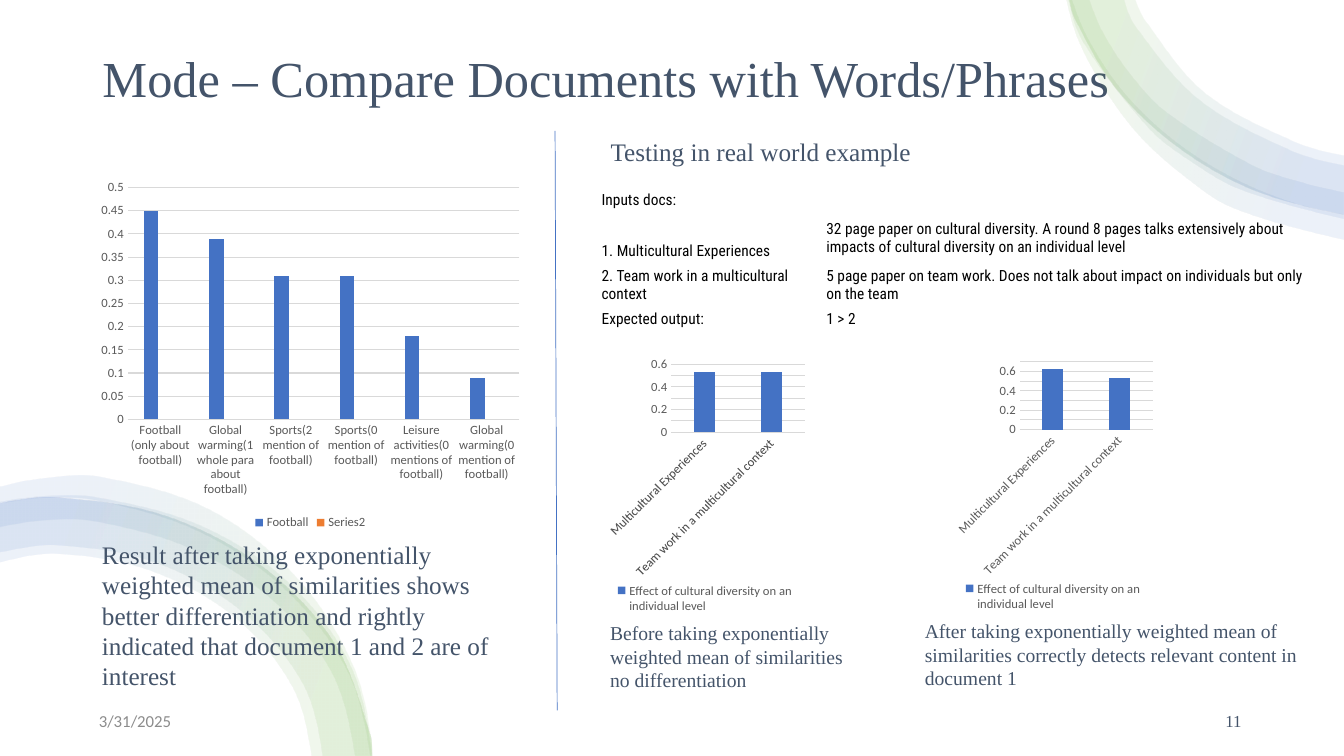
import math

import pptx
import pptx.chart.data
import pptx.dml.color
import pptx.enum.chart
import pptx.enum.shapes
import pptx.enum.text
import pptx.oxml
import pptx.oxml.ns
import pptx.util
from lxml import etree

Pt = pptx.util.Pt
qn = pptx.oxml.ns.qn
RGB = pptx.dml.color.RGBColor
SLATE = RGB(0x44, 0x54, 0x6A)
BLACK = RGB(0, 0, 0)
GRAY = RGB(0x8C, 0x8C, 0x8C)
LABEL = RGB(0x59, 0x59, 0x59)
GRID = RGB(0xD9, 0xD9, 0xD9)
BLUE = RGB(0x44, 0x72, 0xC4)
ORANGE = RGB(0xED, 0x7D, 0x31)
GREEN = RGB(0x70, 0xAD, 0x47)
SERIF = "Times New Roman"
ANCHOR = pptx.enum.text.MSO_ANCHOR
ALIGN = pptx.enum.text.PP_ALIGN


def style(frame, text, size, face=SERIF, color=SLATE):
    frame.text = text
    for run in frame.paragraphs[0].runs:
        run.font.size = Pt(size)
        run.font.name = face
        run.font.color.rgb = color


def curve(knots):
    spots = [knots[0]]
    last = len(knots) - 2
    for i in range(last + 1):
        start, end = knots[i], knots[i + 1]
        reach = math.dist(start, end) / 3
        first = second = None
        if i > 0:
            back = knots[i - 1]
            ratio = reach / math.dist(back, end)
            first = [s + (e - b) * ratio for s, e, b in zip(start, end, back)]
        if i < last:
            ahead = knots[i + 2]
            ratio = reach / math.dist(start, ahead)
            second = [e - (a - s) * ratio for e, a, s in zip(end, ahead, start)]
        first = first or [(s + c) / 2 for s, c in zip(start, second)]
        second = second or [(e + c) / 2 for e, c in zip(end, first)]
        spots += [first, second, end]
    return spots


deck = pptx.Presentation()
deck.slide_width, deck.slide_height = Pt(960), Pt(540)
slide = deck.slides.add_slide(deck.slide_layouts[5])
shapes = slide.shapes

top = [(764, 0), (768, 14), (797, 63), (840, 104), (894, 135), (960, 153)]
low = [(265, 540), (264, 525), (238, 459), (187, 405), (118, 369), (41, 356), (0, 360)]
bands = [
    (20, [(762, 0), (771, 30), (790, 65), (814, 97), (845, 125), (880, 148), (960, 171)],
     [(960, 153), (925, 145), (889, 131), (855, 112), (824, 88), (798, 60), (777, 27), (766, 0)]),
    (20, top, [(960, 111), (924, 101), (860, 66), (818, 15), (811, 0)]),
    (20, [(763, 0), (774, 31), (821, 92), (852, 116), (886, 135), (960, 156)],
     [(960, 137), (930, 130), (895, 118), (833, 80), (808, 54), (788, 24), (778, 0)]),
    (20, top, [(960, 118), (921, 107), (856, 71), (811, 19), (803, 0)]),
    (200, low, [(0, 402), (41, 396), (107, 408), (167, 441), (208, 490), (222, 540)]),
    (200, low, [(0, 395), (41, 390), (110, 402), (171, 436), (215, 487), (230, 540)]),
    (200, [(265, 540), (249, 474), (205, 416), (143, 376), (70, 356), (32, 355), (0, 359)],
     [(0, 377), (33, 372), (68, 373), (135, 392), (193, 428), (236, 480), (253, 540)]),
    (200, [(266, 540), (252, 476), (211, 412), (149, 364), (72, 341), (31, 342), (0, 348)],
     [(0, 360), (32, 356), (70, 358), (140, 379), (202, 420), (247, 478), (264, 540)]),
]
stops = "".join(
    f'<a:gs pos="{pos}000"><a:srgbClr val="{tint}"><a:alpha val="10000"/></a:srgbClr></a:gs>'
    for pos, tint in [(16, GREEN), (85, BLUE)])
space = pptx.oxml.ns.nsdecls("a")
for angle, outer, inner in bands:
    edge = [(Pt(x), Pt(y)) for x, y in curve(outer) + curve(inner)]
    pen = shapes.build_freeform(*edge[0])
    pen.add_line_segments(edge[1:], close=True)
    band = pen.convert_to_shape()
    band.shadow.inherit = False
    band.line.fill.background()
    band.fill.background()
    props = band.element.spPr
    blank = props.find(qn("a:noFill"))
    props.replace(blank, pptx.oxml.parse_xml(
        f'<a:gradFill {space} rotWithShape="1"><a:gsLst>{stops}</a:gsLst>'
        f'<a:lin ang="{angle * 60000}" scaled="0"/></a:gradFill>'))
    lines = list(props.iter(qn("a:lnTo")))
    lines.pop(3 * len(outer) - 3)
    for trio in zip(lines[::3], lines[1::3], lines[2::3]):
        bend = etree.Element(qn("a:cubicBezTo"))
        trio[0].addprevious(bend)
        for line in trio:
            bend.append(line[0])
            line.getparent().remove(line)

title = shapes.title
title.left, title.top, title.width, title.height = Pt(66), Pt(6), Pt(828), Pt(104)
style(title.text_frame, "Mode – Compare Documents with Words/Phrases", 36)
title.text_frame.vertical_anchor = ANCHOR.MIDDLE
title.text_frame.paragraphs[0].alignment = ALIGN.LEFT
title.text_frame.paragraphs[0].line_spacing = 0.9

notes = [
    (63.5, 500.5, 216, 29, "3/31/2025", 12, "Calibri", GRAY, ANCHOR.MIDDLE, ALIGN.LEFT),
    (678, 500.5, 216, 29, "11", 12, SERIF, SLATE, ANCHOR.MIDDLE, ALIGN.RIGHT),
    (65.8, 381.8, 299.5, 117, "Result after taking exponentially weighted mean of similarities "
     "shows better differentiation and rightly indicated that document 1 and 2 are of interest",
     18, SERIF, SLATE, ANCHOR.TOP, ALIGN.LEFT),
    (429, 94, 420, 29, "Testing in real world example",
     18, SERIF, SLATE, ANCHOR.TOP, ALIGN.LEFT),
    (428.7, 440, 183.5, 58, "Before taking exponentially weighted mean of similarities "
     "no differentiation", 14, SERIF, SLATE, ANCHOR.TOP, ALIGN.LEFT),
    (653.5, 438.7, 290, 58, "After taking exponentially weighted mean of similarities "
     "correctly detects relevant content in document 1",
     14, SERIF, SLATE, ANCHOR.TOP, ALIGN.LEFT),
]
for x, y, w, h, text, size, face, color, anchor, align in notes:
    frame = shapes.add_textbox(Pt(x), Pt(y), Pt(w), Pt(h)).text_frame
    frame.word_wrap = True
    frame.vertical_anchor = anchor
    style(frame, text, size, face, color)
    frame.paragraphs[0].alignment = align

topics = ["Football (only about football)", "Global warming(1 whole para about football)",
          "Sports(2 mention of football)", "Sports(0 mention of football)",
          "Leisure activities(0 mentions of football)", "Global warming(0 mention of football)"]
papers = ["Multicultural Experiences", "Team work in a multicultural context"]
effect = "Effect of cultural diversity on an individual level"
charts = [
    (66.2, 123.5, 311, 258, topics, 0.5, 0.05,
     [("Football", [0.45, 0.39, 0.31, 0.31, 0.18, 0.09]), ("Series2", [None] * 6)]),
    (429, 255, 149, 186, papers, 0.6, 0.1, [(effect, [0.53, 0.53])]),
    (677.8, 254.7, 148.5, 185, papers, 0.7, 0.1, [(effect, [0.62, 0.53])]),
]
for x, y, w, h, names, high, unit, rows in charts:
    data = pptx.chart.data.CategoryChartData()
    data.categories = names
    for name, values in rows:
        data.add_series(name, values)
    chart = shapes.add_chart(pptx.enum.chart.XL_CHART_TYPE.COLUMN_CLUSTERED,
                             Pt(x), Pt(y), Pt(w), Pt(h), data).chart
    chart.has_title = False
    chart.font.size, chart.font.name = Pt(9), "Calibri"
    chart.font.color.rgb = LABEL
    chart.has_legend = True
    chart.legend.position = pptx.enum.chart.XL_LEGEND_POSITION.BOTTOM
    chart.legend.include_in_layout = False
    plot = chart.plots[0]
    plot.vary_by_categories = False
    plot.gap_width, plot.overlap = 219, -27
    for bar, color in zip(plot.series, [BLUE, ORANGE]):
        bar.format.fill.solid()
        bar.format.fill.fore_color.rgb = color
    axis = chart.value_axis
    axis.minimum_scale, axis.maximum_scale, axis.major_unit = 0, high, unit
    axis.format.line.fill.background()
    for side in axis, chart.category_axis:
        side.major_tick_mark = pptx.enum.chart.XL_TICK_MARK.NONE
    for line in axis.major_gridlines.format.line, chart.category_axis.format.line:
        line.color.rgb = GRID
        line.width = Pt(0.75)

cells = [
    ("Inputs docs:", ""),
    ("1. Multicultural Experiences", "32 page paper on cultural diversity. A round 8 pages talks "
     "extensively about impacts of cultural diversity on an individual level"),
    ("2. Team work in a multicultural context", "5 page paper on team work. Does not talk about "
     "impact on individuals but only on the team"),
    ("Expected output:", "1 > 2"),
]
table = shapes.add_table(4, 2, Pt(429), Pt(135.5), Pt(515), Pt(102)).table
table.first_row = table.horz_banding = False
for column, width in zip(table.columns, [160.5, 354.5]):
    column.width = Pt(width)
for i, height in enumerate([17, 36.5, 29.5, 18]):
    table.rows[i].height = Pt(height)
    for j, text in enumerate(cells[i]):
        cell = table.cell(i, j)
        cell.fill.background()
        cell.margin_left = cell.margin_right = cell.margin_top = Pt(0.75)
        cell.margin_bottom = Pt(3.6)
        cell.vertical_anchor = ANCHOR.BOTTOM if i and not j else ANCHOR.MIDDLE
        for k, side in enumerate(["lnL", "lnR", "lnT", "lnB"]):
            border = etree.Element(qn("a:" + side), w="0")
            etree.SubElement(border, qn("a:noFill"))
            cell._tc.tcPr.insert(k, border)
        style(cell.text_frame, text, 11, "Roboto Condensed", BLACK)
        if not text:
            para = cell.text_frame.paragraphs[0]._p
            etree.SubElement(para, qn("a:endParaRPr"), sz="1100")

rule = shapes.add_connector(pptx.enum.shapes.MSO_CONNECTOR.STRAIGHT,
                            Pt(396.5), Pt(93.5), Pt(398), Pt(507.5))
rule.line.color.rgb = BLUE
rule.line.width = Pt(0.5)
etree.SubElement(rule.element.spPr, qn("a:effectLst"))

deck.save("out.pptx")
